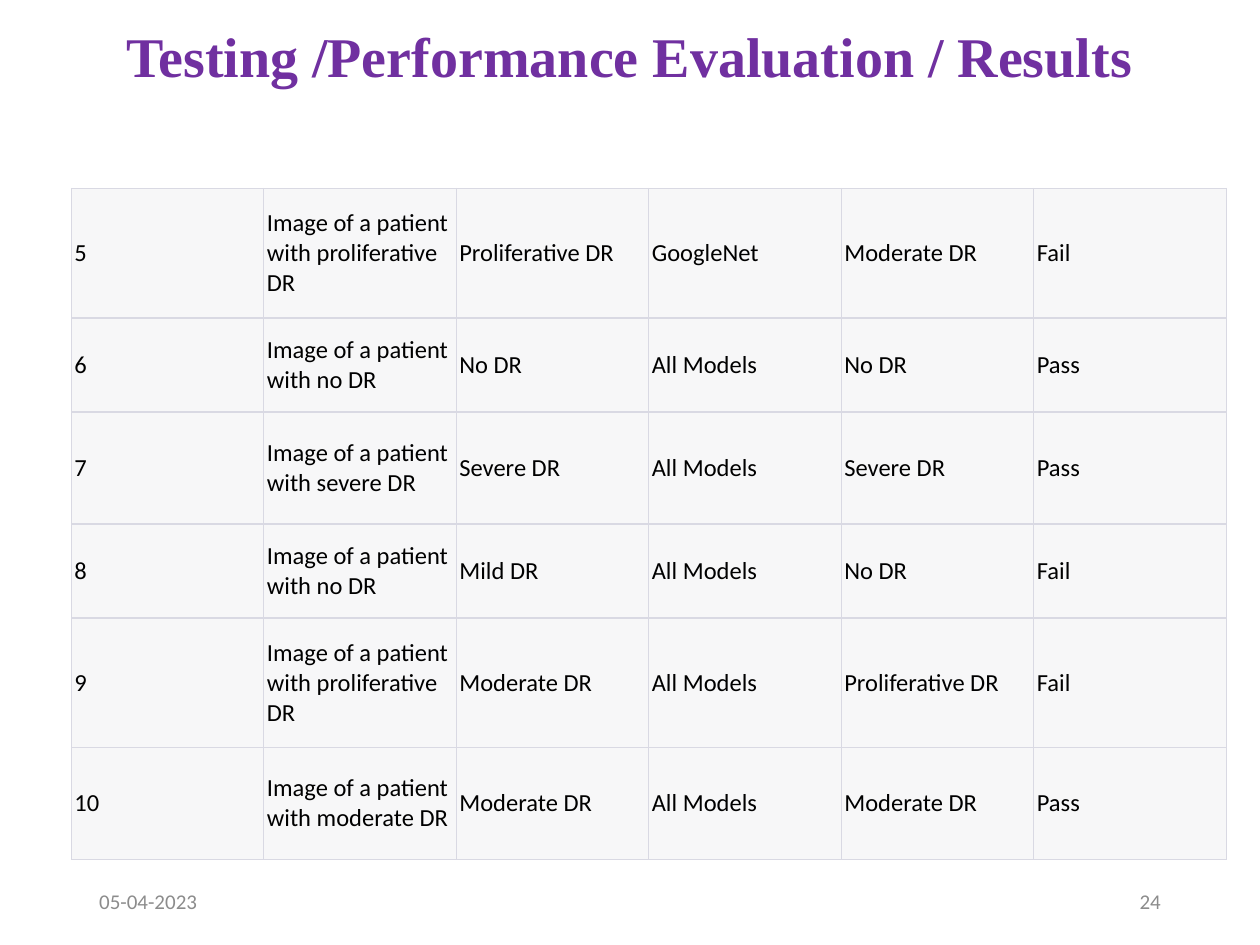
from lxml import etree
from pptx import Presentation
from pptx.dml.color import RGBColor
from pptx.enum.text import MSO_ANCHOR, PP_ALIGN
from pptx.oxml.ns import qn
from pptx.util import Cm, Pt

MIDDLE = MSO_ANCHOR.MIDDLE
LEFT, CENTER, RIGHT = PP_ALIGN.LEFT, PP_ALIGN.CENTER, PP_ALIGN.RIGHT

TITLE = "Testing /Performance Evaluation / Results"
TEST_CASES = [
    ("5", "Image of a patient with proliferative DR", "Proliferative DR", "GoogleNet", "Moderate DR", "Fail"),
    ("6", "Image of a patient with no DR", "No DR", "All Models", "No DR", "Pass"),
    ("7", "Image of a patient with severe DR", "Severe DR", "All Models", "Severe DR", "Pass"),
    ("8", "Image of a patient with no DR", "Mild DR", "All Models", "No DR", "Fail"),
    ("9", "Image of a patient with proliferative DR", "Moderate DR", "All Models", "Proliferative DR", "Fail"),
    ("10", "Image of a patient with moderate DR", "Moderate DR", "All Models", "Moderate DR", "Pass"),
]
ROW_HEIGHTS = [2.61, 1.9, 2.25, 1.9, 2.61, 2.25]
COLUMN_WIDTH = 3.88
FOOTERS = [("05-04-2023", 1.75, LEFT), ("24", 17.93, RIGHT)]

THEME = {
    "title": {"font": "Times New Roman", "size": 32, "color": "7030A0", "bold": True},
    "cell": {"font": "Calibri", "size": 14, "color": "000000", "bold": False},
    "footer": {"font": "Calibri", "size": 12, "color": "8C8C8C", "bold": False},
    "cell_fill": "F7F7F8",
    "border": "D9D9E3",
    "thin": 0.6,
    "thick": 1,
}


def write(text_frame, text, style_name, alignment):
    style = THEME[style_name]
    text_frame.text = text
    text_frame.word_wrap = True
    text_frame.vertical_anchor = MIDDLE
    paragraph = text_frame.paragraphs[0]
    paragraph.alignment = alignment
    paragraph.font.name = style["font"]
    paragraph.font.size = Pt(style["size"])
    paragraph.font.bold = style["bold"]
    paragraph.font.color.rgb = RGBColor.from_string(style["color"])
    return paragraph


def place(shape, left, top, width, height):
    shape.left, shape.top = Cm(left), Cm(top)
    shape.width, shape.height = Cm(width), Cm(height)


def set_borders(cell, widths):
    properties = cell._tc.get_or_add_tcPr()
    for position, (side, width) in enumerate(widths.items()):
        line = etree.Element(qn(f"a:ln{side}"), w=str(Pt(width)))
        fill = etree.SubElement(line, qn("a:solidFill"))
        etree.SubElement(fill, qn("a:srgbClr"), val=THEME["border"])
        properties.insert(position, line)


def add_results_table(slide):
    row_count, column_count = len(TEST_CASES), len(TEST_CASES[0])
    frame = slide.shapes.add_table(
        row_count, column_count, Cm(1.44), Cm(3.8),
        Cm(COLUMN_WIDTH * column_count), Cm(sum(ROW_HEIGHTS)))
    table = frame.table
    table.first_row = table.horz_banding = False
    for column in table.columns:
        column.width = Cm(COLUMN_WIDTH)
    thin, thick = THEME["thin"], THEME["thick"]
    for row_index, (height, values) in enumerate(zip(ROW_HEIGHTS, TEST_CASES)):
        table.rows[row_index].height = Cm(height)
        bottom = thin if row_index == row_count - 1 else thick
        for column_index, value in enumerate(values):
            cell = table.cell(row_index, column_index)
            write(cell.text_frame, value, "cell", LEFT)
            cell.vertical_anchor = MIDDLE
            cell.margin_left = cell.margin_right = Cm(0.06)
            cell.margin_top = cell.margin_bottom = Cm(0.03)
            cell.fill.solid()
            cell.fill.fore_color.rgb = RGBColor.from_string(THEME["cell_fill"])
            set_borders(cell, {"L": thin, "R": thin, "T": thick, "B": bottom})


def main():
    presentation = Presentation()
    presentation.slide_width, presentation.slide_height = Cm(25.4), Cm(19.05)
    slide = presentation.slides.add_slide(presentation.slide_layouts[5])

    title = slide.shapes.title
    place(title, 1.75, 0.46, 21.89, 1.47)
    write(title.text_frame, TITLE, "title", CENTER).line_spacing = 0.9

    for text, left, alignment in FOOTERS:
        footer = slide.shapes.add_textbox(0, 0, 0, 0)
        place(footer, left, 17.65, 5.72, 1.02)
        write(footer.text_frame, text, "footer", alignment)

    add_results_table(slide)
    presentation.save("out.pptx")


if __name__ == "__main__":
    main()
